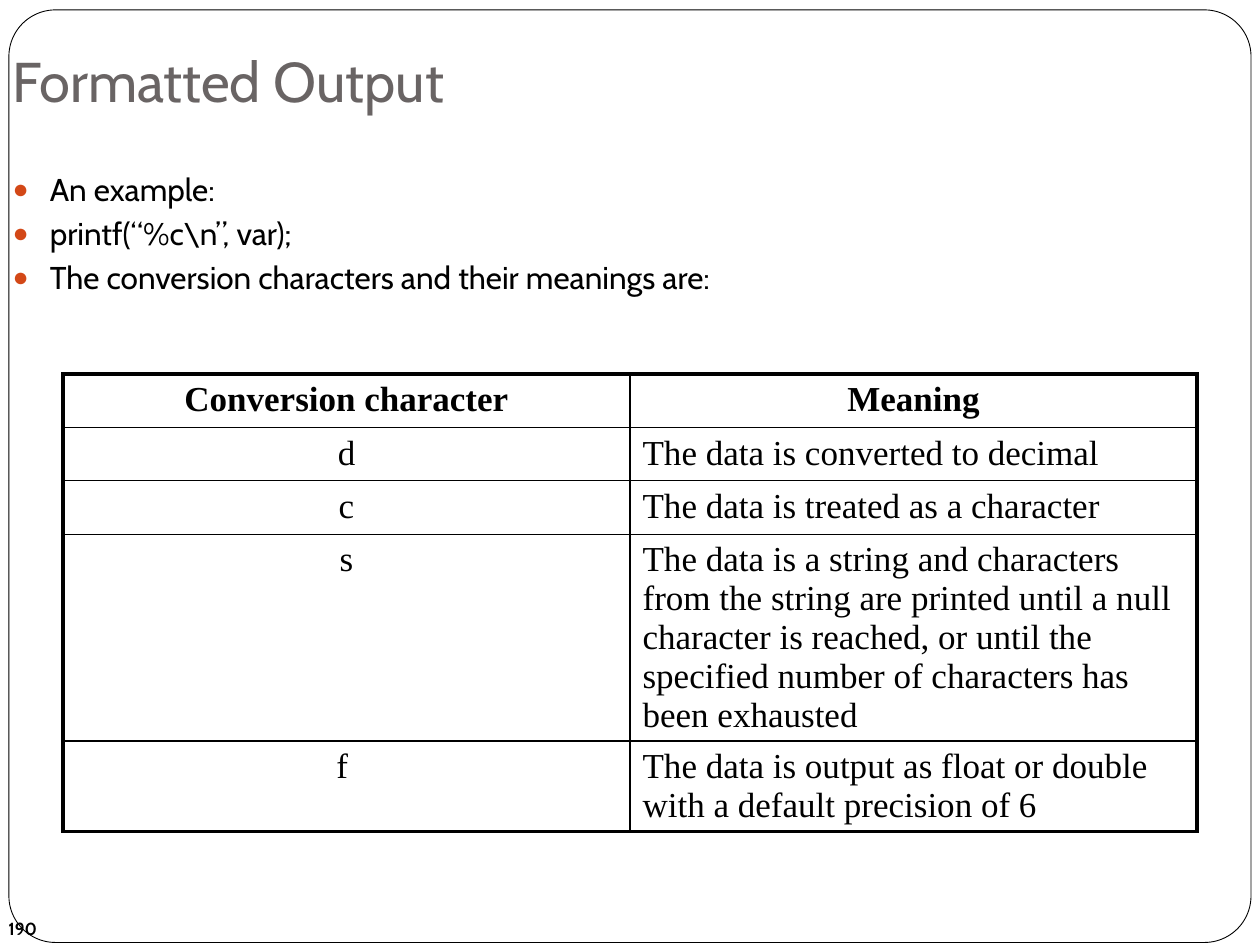
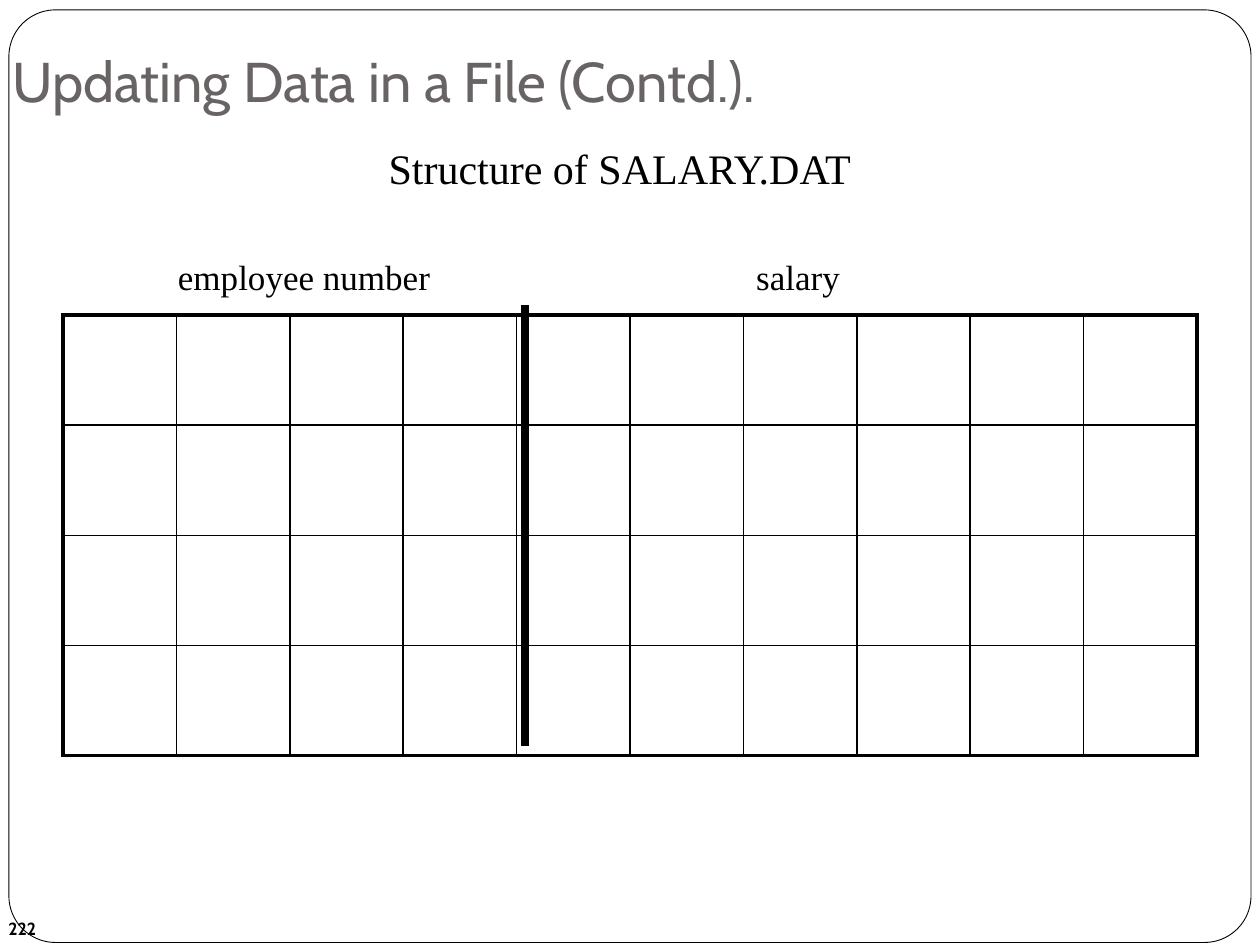
"""Builds two C programming slides: a conversion character table and a file structure grid."""
from lxml.etree import SubElement
from pptx import Presentation
from pptx.dml.color import RGBColor
from pptx.enum.shapes import MSO_CONNECTOR, MSO_SHAPE
from pptx.enum.text import MSO_ANCHOR, MSO_AUTO_SIZE, PP_ALIGN
from pptx.oxml.ns import qn
from pptx.util import Cm, Pt

BLACK, WHITE, GREY, ORANGE = "000000", "FFFFFF", "696464", "D34817"
SANS, SERIF = "Cabin", "Times New Roman"
TITLE_AND_CONTENT, TITLE_ONLY = 1, 5
THIN, THICK = 1, 2.25


def color(hex_code):
    return RGBColor.from_string(hex_code)


class Deck:
    def __init__(self):
        self.presentation = Presentation()
        self.presentation.slide_width = Cm(25.4)
        self.presentation.slide_height = Cm(19.05)
        self.slide = None

    def new_slide(self, layout, title, number):
        layouts = self.presentation.slide_layouts
        self.slide = self.presentation.slides.add_slide(layouts[layout])
        self.frame()
        self.title(title)
        self.text(number, -0.08, 18.21, 5.92, 1.02, 10, SANS, bold=True,
                  align=PP_ALIGN.LEFT, anchor=MSO_ANCHOR.MIDDLE)

    def style(self, paragraph, size, font, hex_code=BLACK, bold=False,
              align=PP_ALIGN.LEFT):
        paragraph.alignment = align
        paragraph.font.name = font
        paragraph.font.size = Pt(size)
        paragraph.font.bold = bold
        paragraph.font.color.rgb = color(hex_code)

    def place(self, shape, left, top, width, height, anchor):
        shape.left, shape.top = Cm(left), Cm(top)
        shape.width, shape.height = Cm(width), Cm(height)
        text = shape.text_frame
        text.word_wrap = True
        text.auto_size = MSO_AUTO_SIZE.NONE
        text.vertical_anchor = anchor
        return text

    def frame(self):
        border = self.slide.shapes.add_shape(
            MSO_SHAPE.ROUNDED_RECTANGLE, Cm(0.18), Cm(0.2), Cm(25.04), Cm(18.8))
        border.adjustments[0] = 0.05
        border.shadow.inherit = False
        border.fill.solid()
        border.fill.fore_color.rgb = color(WHITE)
        border.line.color.rgb = color(BLACK)
        border.line.width = Pt(0.5)
        self.slide.shapes._spTree.insert(2, border._element)

    def title(self, wording):
        text = self.place(self.slide.shapes.title, 0, 0, 21, 2.54,
                          MSO_ANCHOR.BOTTOM)
        text.margin_bottom = Cm(0.25)
        text.text = wording
        self.style(text.paragraphs[0], 32, SANS, GREY)

    def bullets(self, items, left, top, width, height):
        text = self.place(self.slide.placeholders[1], left, top, width, height,
                          MSO_ANCHOR.TOP)
        text.text = "\n".join(items)
        for position, paragraph in enumerate(text.paragraphs):
            properties = paragraph._p.get_or_add_pPr()
            properties.set("marL", str(Cm(0.75)))
            properties.set("indent", str(-Cm(0.75)))
            bullet_color = SubElement(properties, qn("a:buClr"))
            SubElement(bullet_color, qn("a:srgbClr"), val=ORANGE)
            SubElement(properties, qn("a:buSzPct"), val="85000")
            SubElement(properties, qn("a:buChar"), char="●")
            paragraph.line_spacing = 0.9
            paragraph.space_before = Pt(5.8 if position else 0)
            self.style(paragraph, 18, SANS)

    def text(self, wording, left, top, width, height, size, font=SERIF,
             bold=False, align=PP_ALIGN.CENTER, anchor=MSO_ANCHOR.TOP):
        box = self.slide.shapes.add_textbox(0, 0, 0, 0)
        text = self.place(box, left, top, width, height, anchor)
        text.text = wording
        self.style(text.paragraphs[0], size, font, bold=bold, align=align)

    def line(self, x1, y1, x2, y2, width):
        rule = self.slide.shapes.add_connector(
            MSO_CONNECTOR.STRAIGHT, Cm(x1), Cm(y1), Cm(x2), Cm(y2))
        rule.line.color.rgb = color(BLACK)
        rule.line.width = Pt(width)
        SubElement(rule._element.spPr, qn("a:effectLst"))

    def cell_borders(self, cell, outer_sides):
        properties = cell._tc.get_or_add_tcPr()
        for side in "LRTB":
            width = THICK if side in outer_sides else THIN
            edge = SubElement(properties, qn(f"a:ln{side}"), w=str(Pt(width)))
            fill = SubElement(edge, qn("a:solidFill"))
            SubElement(fill, qn("a:srgbClr"), val=BLACK)

    def table(self, left, top, width, row_heights, column_count):
        row_count = len(row_heights)
        grid = self.slide.shapes.add_table(
            row_count, column_count, Cm(left), Cm(top), Cm(width),
            Cm(sum(row_heights))).table
        grid.first_row = grid.horz_banding = False
        for row, height in enumerate(row_heights):
            grid.rows[row].height = Cm(height)
            for column in range(column_count):
                cell = grid.cell(row, column)
                outer = {"L": column == 0, "R": column == column_count - 1,
                         "T": row == 0, "B": row == row_count - 1}
                self.cell_borders(cell, [side for side in outer if outer[side]])
                cell.fill.background()
        return grid

    def fill_table(self, grid, rows):
        for row, values in enumerate(rows):
            for column, value in enumerate(values):
                cell = grid.cell(row, column)
                cell.text = value
                centred = row == 0 or column == 0
                self.style(cell.text_frame.paragraphs[0], 20, SERIF,
                           bold=row == 0,
                           align=PP_ALIGN.CENTER if centred else PP_ALIGN.LEFT)


def formatted_output(deck):
    deck.new_slide(TITLE_AND_CONTENT, "Formatted Output", "190")
    conversions = deck.table(1.27, 7.54, 22.86, [1.08, 1.07, 1.08, 4.16, 1.8], 2)
    deck.fill_table(conversions, [
        ("Conversion character", "Meaning"),
        ("d", "The data is converted to decimal"),
        ("c", "The data is treated as a character"),
        ("s", "The data is a string and characters from the string are printed "
              "until a null character is reached, or until the specified number "
              "of characters has been exhausted"),
        ("f ", "The data is output as float or double with a default precision "
               "of 6"),
    ])
    deck.bullets(["An example:", r"printf(“%c\n”, var);",
                  "The conversion characters and their meanings are:"],
                 0, 3.38, 20.32, 2.74)


def updating_data(deck):
    deck.new_slide(TITLE_ONLY, "Updating Data in a File (Contd.).", "222")
    deck.table(1.27, 6.35, 22.86, [2.22] * 4, 10)
    deck.line(10.59, 6.15, 10.59, 15.04, 4.5)
    for field, left in (("employee number", 1.9), ("salary", 11.86)):
        deck.text(field, left, 5.03, 8.46, 1.09, 20)
    deck.text("Structure of SALARY.DAT", 2.97, 2.74, 19.05, 1.27, 24)


def main():
    deck = Deck()
    formatted_output(deck)
    updating_data(deck)
    deck.presentation.save("out.pptx")


if __name__ == "__main__":
    main()
